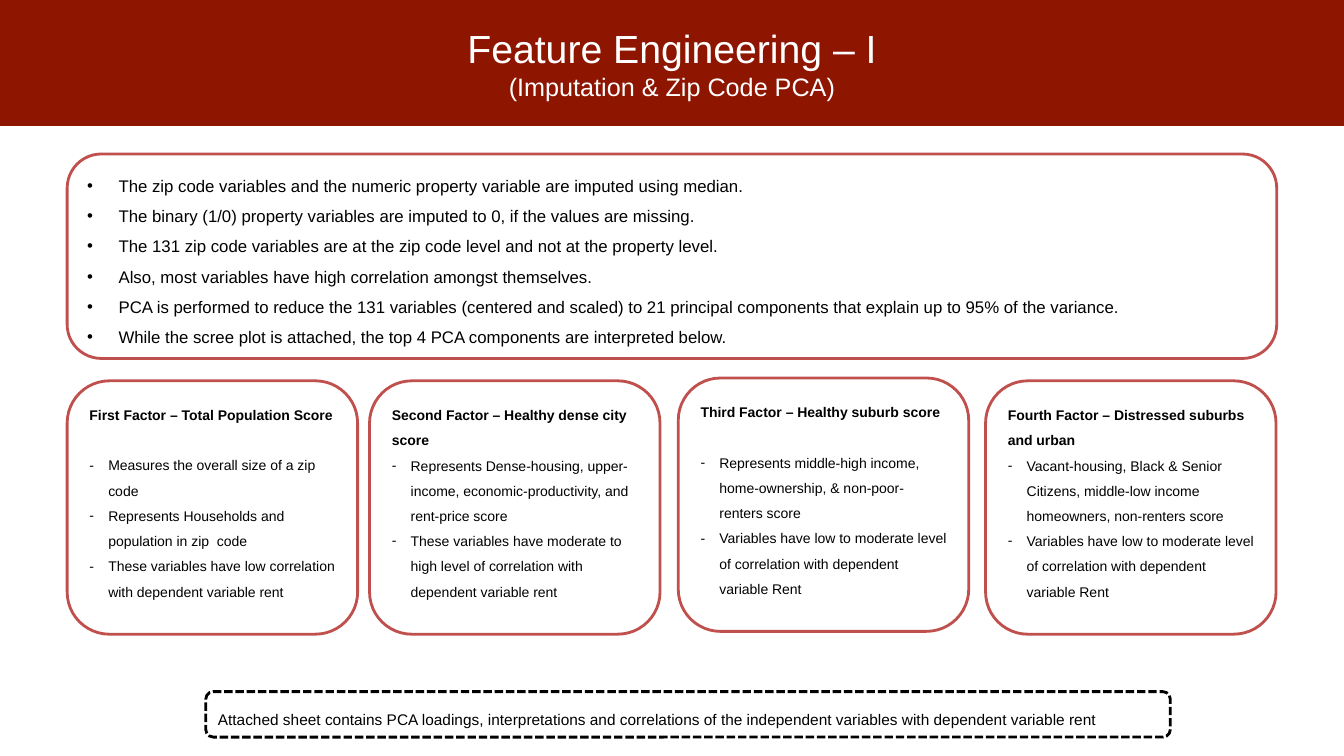
from lxml import etree
from pptx import Presentation
from pptx.dml.color import RGBColor
from pptx.enum import dml, shapes, text
from pptx.oxml.ns import qn
from pptx.util import Pt

DARK_RED, RED, BLACK, WHITE = "8E1500", "C0504D", "000000", "FFFFFF"


def add_box(left, top, width, height, line_color):
    """Add an unfilled rounded box with left-aligned wrapping text."""
    box = slide.shapes.add_shape(
        shapes.MSO_SHAPE.ROUNDED_RECTANGLE, Pt(left), Pt(top), Pt(width), Pt(height))
    box.shadow.inherit = False
    box.fill.background()
    box.line.color.rgb = RGBColor.from_string(line_color)
    box.line.width = Pt(2)
    box.text_frame.word_wrap = True
    return box


def write_lines(frame, lines, size, bullet=None, indent=0, heading=None, gap=0):
    """Fill a frame with an optional bold heading, then lines with a hanging bullet."""
    entries = ([(heading, True)] if heading else []) + [(line, False) for line in lines]
    for number, (wording, is_heading) in enumerate(entries):
        paragraph = frame.paragraphs[0] if number == 0 else frame.add_paragraph()
        if bullet and not is_heading:
            properties = paragraph._p.get_or_add_pPr()
            properties.set("marL", str(Pt(indent)))
            properties.set("indent", str(-Pt(indent)))
            etree.SubElement(properties, qn("a:buFont")).set("typeface", "Arial")
            etree.SubElement(properties, qn("a:buChar")).set("char", bullet)
        paragraph_format = {
            "alignment": text.PP_ALIGN.LEFT, "line_spacing": 1.5,
            "space_before": Pt(0), "space_after": Pt(gap if is_heading else 0)}
        for name, value in paragraph_format.items():
            setattr(paragraph, name, value)
        run = paragraph.add_run()
        run.text = wording
        for name, value in {"name": "Arial", "size": Pt(size), "bold": is_heading}.items():
            setattr(run.font, name, value)
        run.font.color.rgb = RGBColor.from_string(BLACK)


presentation = Presentation()
presentation.slide_width, presentation.slide_height = Pt(960), Pt(540)
slide = presentation.slides.add_slide(presentation.slide_layouts[1])
title, body = slide.placeholders

# Title band
title.left, title.top, title.width, title.height = Pt(0), Pt(0), Pt(960), Pt(90)
title.fill.solid()
title.fill.fore_color.rgb = RGBColor.from_string(DARK_RED)
title.text_frame.vertical_anchor = text.MSO_ANCHOR.MIDDLE
title_paragraph = title.text_frame.paragraphs[0]
title_paragraph.alignment = text.PP_ALIGN.CENTER
for wording, size in (("Feature Engineering – I", 28), ("(Imputation & Zip Code PCA)", 18)):
    if title_paragraph.runs:
        title_paragraph.add_line_break()
    run = title_paragraph.add_run()
    run.text = wording
    run.font.name, run.font.size = "Arial", Pt(size)
    run.font.color.rgb = RGBColor.from_string(WHITE)

# Imputation and PCA steps, in a rounded frame
add_box(48, 110, 864, 146, RED)
body.left, body.top, body.width, body.height = Pt(55), Pt(110), Pt(850), Pt(146)
body.text_frame.auto_size = text.MSO_AUTO_SIZE.NONE
body.text_frame.vertical_anchor = text.MSO_ANCHOR.MIDDLE
write_lines(body.text_frame, [
    "The zip code variables and the numeric property variable are imputed using median.",
    "The binary (1/0) property variables are imputed to 0, if the values are missing.",
    "The 131 zip code variables are at the zip code level and not at the property level.",
    "Also, most variables have high correlation amongst themselves.",
    "PCA is performed to reduce the 131 variables (centered and scaled) to 21 principal "
    "components that explain up to 95% of the variance.",
    "While the scree plot is attached, the top 4 PCA components are interpreted below.",
], 12, "•", 22.5)

# Factor cards: left, top, gap below heading, heading, points
factors = [
    (48, 272, 18, "First Factor – Total Population Score", [
        "Measures the overall size of a zip code",
        "Represents Households and population in zip  code",
        "These variables have low correlation with dependent variable rent"]),
    (264, 272, 0, "Second Factor – Healthy dense city score", [
        "Represents Dense-housing, upper-income, economic-productivity, and rent-price score",
        "These variables have moderate to high level of correlation with dependent variable rent"]),
    (484.5, 270, 18, "Third Factor – Healthy suburb score", [
        "Represents middle-high income, home-ownership, & non-poor-renters score",
        "Variables have low to moderate level of correlation with dependent variable Rent"]),
    (704, 272, 0, "Fourth Factor – Distressed suburbs and urban", [
        "Vacant-housing, Black & Senior Citizens, middle-low income homeowners, non-renters score",
        "Variables have low to moderate level of correlation with dependent variable Rent"]),
]
for left, top, gap, heading, points in factors:
    card = add_box(left, top, 207.5, 181, RED)
    card.text_frame.vertical_anchor = text.MSO_ANCHOR.TOP
    write_lines(card.text_frame, points, 10, "-", 13.5, heading, gap)

# Attachment note
note = add_box(147, 494, 689, 32.5, BLACK)
note.fill.solid()
note.fill.fore_color.rgb = RGBColor.from_string(WHITE)
note.line.dash_style = dml.MSO_LINE.SQUARE_DOT
note.text_frame.vertical_anchor = text.MSO_ANCHOR.MIDDLE
write_lines(note.text_frame, [
    "Attached sheet contains PCA loadings, interpretations and correlations of the "
    "independent variables with dependent variable rent"], 11)

presentation.save("out.pptx")
